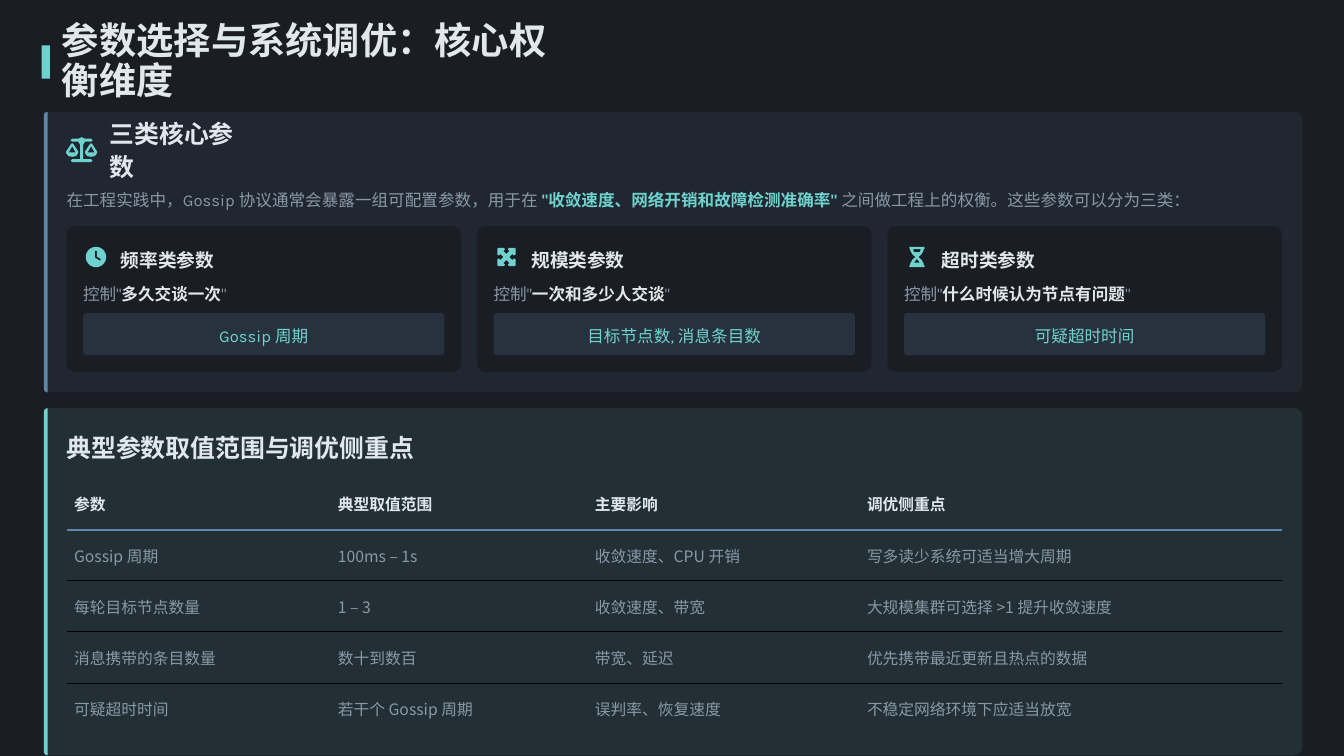
import math

from lxml import etree
from pptx import Presentation
from pptx.dml.color import RGBColor
from pptx.enum import shapes, text
from pptx.oxml import ns
from pptx.util import Inches, Pt

BACKGROUND, LIGHT, GREY = "1A1D24", "E1E8ED", "8899A6"
TEAL, BLUE, BLACK = "6ED3CF", "5F87A7", "000000"
HEADING_FONT, BODY_FONT = "Noto Sans CJK SC", "Karla"
NO_TABLE_STYLE = "{2D5ABB26-0587-4C30-8999-92F81FD0307C}"

CARDS = [
    ("频率类参数", "多久交谈一次", "Gossip 周期"),
    ("规模类参数", "一次和多少人交谈", "目标节点数, 消息条目数"),
    ("超时类参数", "什么时候认为节点有问题", "可疑超时时间"),
]
COLUMN_WIDTHS = [3.49, 3.4, 3.6, 5.59]
ROWS = [
    ("参数", "典型取值范围", "主要影响", "调优侧重点"),
    ("Gossip 周期", "100ms – 1s", "收敛速度、CPU 开销", "写多读少系统可适当增大周期"),
    ("每轮目标节点数量", "1 – 3", "收敛速度、带宽", "大规模集群可选择 >1 提升收敛速度"),
    ("消息携带的条目数量", "数十到数百", "带宽、延迟", "优先携带最近更新且热点的数据"),
    ("可疑超时时间", "若干个 Gossip 周期", "误判率、恢复速度", "不稳定网络环境下应适当放宽"),
]


def color(value):
    return RGBColor.from_string(value)


def paint(shape, value, alpha=100):
    """Fill a shape without line or shadow; alpha is opacity in percent."""
    shape.shadow.inherit = False
    shape.line.fill.background()
    shape.fill.solid()
    shape.fill.fore_color.rgb = color(value)
    if alpha < 100:
        fill = shape.fill._xPr.find(ns.qn("a:solidFill"))[0]
        etree.SubElement(fill, ns.qn("a:alpha"), val=str(alpha * 1000))


def add_run(paragraph, words, size, value, bold=False, font=BODY_FONT):
    run = paragraph.add_run()
    run.text = words
    run.font.size, run.font.bold, run.font.name = Pt(size), bold, font
    run.font.color.rgb = color(value)
    latin = run.font._rPr.find(ns.qn("a:latin"))
    east_asian = etree.Element(ns.qn("a:ea"), typeface=HEADING_FONT)
    latin.addnext(east_asian)


def write(shape, runs, spacing, align=text.PP_ALIGN.LEFT):
    frame = shape.text_frame
    frame.word_wrap = True
    frame.auto_size = text.MSO_AUTO_SIZE.NONE
    frame.vertical_anchor = text.MSO_ANCHOR.MIDDLE
    frame.margin_left = frame.margin_right = 0
    frame.margin_top = frame.margin_bottom = 0
    paragraph = frame.paragraphs[0]
    paragraph.alignment, paragraph.line_spacing = align, spacing
    for run in runs:
        add_run(paragraph, *run)


def add_text(slide, left, top, width, height, runs, spacing):
    box = slide.shapes.add_textbox(*map(Inches, (left, top, width, height)))
    write(box, runs, spacing)


def add_rounded(slide, left, top, width, height, radius, value, alpha=100):
    shape = slide.shapes.add_shape(shapes.MSO_SHAPE.ROUNDED_RECTANGLE,
                                   *map(Inches, (left, top, width, height)))
    shape.adjustments[0] = radius / height
    paint(shape, value, alpha)
    return shape


def add_outline(slide, x, y, contours, value, alpha=100):
    """Draw closed contours, given in inches around (x, y), as one shape."""
    scaled = [[(px * 1000, py * 1000) for px, py in contour] for contour in contours]
    builder = slide.shapes.build_freeform(*scaled[0][0], scale=Inches(1) / 1000)
    for index, contour in enumerate(scaled):
        if index:
            builder.move_to(*contour[0])
        builder.add_line_segments(contour[1:], close=True)
    paint(builder.convert_to_shape(Inches(x), Inches(y)), value, alpha)


def arc(x, y, radius, start, end, steps=8):
    angles = [math.radians(start + (end - start) * i / steps) for i in range(steps + 1)]
    return [(x + radius * math.cos(a), y + radius * math.sin(a)) for a in angles]


def mirror(points):
    """Complete a right half with its reflection in the vertical axis."""
    return points + [(-x, y) for x, y in reversed(points)]


def add_panel(slide, top, height, value):
    left, width, small, large = 0.58, 16.65, 0.05, 0.11
    left_side = (arc(small, height - small, small, 90, 180)
                 + arc(small, small, small, 180, 270))
    right_side = (arc(width - large, large, large, -90, 0)
                  + arc(width - large, height - large, large, 0, 90))
    add_outline(slide, left, top, [left_side + right_side], value, 10)
    add_outline(slide, left, top, [left_side], value)


def scales_icon():
    stand = mirror([(0, -0.165), (0.04, -0.145), (0.125, -0.145), (0.145, -0.125),
                    (0.125, -0.105), (0.045, -0.105), (0.02, -0.065), (0.02, 0.125),
                    (0.125, 0.125), (0.145, 0.145), (0.125, 0.165)])
    pan = mirror([(0, -0.085), (0.015, -0.075), (0.08, 0.025), (0.08, 0.045),
                  (0.05, 0.085), (0, 0.095)])
    hole = mirror([(0, -0.045), (0.045, 0.035)])
    pans = [[(x + shift, y) for x, y in contour]
            for shift in (-0.125, 0.125) for contour in (pan, hole)]
    return [stand] + pans


def clock_icon():
    hands = [(-0.015, -0.08), (0, -0.085), (0.013, -0.08), (0.013, -0.005),
             (0.063, 0.025), (0.06, 0.045), (0.045, 0.045), (-0.01, 0.01), (-0.015, 0)]
    return [arc(0, 0, 0.135, 0, 360, 40), hands]


def expand_icon():
    points = [(0, -0.04), (-0.04, -0.08), (-0.02, -0.1), (-0.03, -0.12), (-0.11, -0.12),
              (-0.12, -0.11), (-0.12, -0.03), (-0.1, -0.02), (-0.08, -0.04)]
    contour = []
    for _ in range(4):
        contour += points
        points = [(y, -x) for x, y in points]
    return [contour]


def hourglass_icon():
    quarter = [(0.09, -0.135), (0.105, -0.12), (0.09, -0.105), (0.09, -0.09),
               (0.06, -0.035), (0.02, 0)]
    body = mirror(quarter + [(x, -y) for x, y in reversed(quarter)])
    return [body, mirror([(0.05, -0.105), (0.04, -0.065)]),
            mirror([(0, 0.025), (0.04, 0.075)])]


def add_card(slide, left, icon, name, purpose, parameters):
    top = 2.99
    add_rounded(slide, left, top, 5.22, 1.93, 0.11, BACKGROUND)
    add_outline(slide, left + 0.39, top + 0.41, icon, TEAL)
    add_text(slide, left + 0.72, top + 0.21, 1.36, 0.38, [(name, 17.8, LIGHT, True)], 1.3)
    add_text(slide, left + 0.22, top + 0.71, 4.89, 0.33,
             [('控制"', 15.8, GREY), (purpose, 15.8, LIGHT, True), ('"', 15.8, GREY)], 1.2)
    chip = add_rounded(slide, left + 0.22, top + 1.15, 4.78, 0.56, 0.05, BLUE, 20)
    write(chip, [(parameters, 15.8, TEAL)], 1.2, text.PP_ALIGN.CENTER)


def set_border(cell, side, value, width):
    line = etree.Element(ns.qn(f"a:{side}"), w=str(Pt(width)))
    fill = etree.SubElement(line, ns.qn("a:solidFill"))
    etree.SubElement(fill, ns.qn("a:srgbClr"), val=value)
    properties = cell._tc.get_or_add_tcPr()
    properties.insert(len(properties.findall(ns.qn("a:lnT"))), line)


def add_parameter_table(slide):
    frame = slide.shapes.add_table(len(ROWS), len(COLUMN_WIDTHS), Inches(0.88),
                                   Inches(6.33), Inches(16.08), Inches(3.38))
    table = frame.table
    table.first_row = table.horz_banding = False
    table._tbl.tblPr.find(ns.qn("a:tableStyleId")).text = NO_TABLE_STYLE
    for column, width in zip(table.columns, COLUMN_WIDTHS):
        column.width = Inches(width)
    rules = [(BLUE, 2)] + [(BLACK, 1)] * (len(ROWS) - 2)
    for r, row in enumerate(ROWS):
        for c, words in enumerate(row):
            cell = table.cell(r, c)
            cell.fill.background()
            cell.vertical_anchor = text.MSO_ANCHOR.MIDDLE
            add_run(cell.text_frame.paragraphs[0], words, 15,
                    GREY if r else LIGHT, r == 0, HEADING_FONT)
            if r > 0:
                set_border(cell, "lnT", *rules[r - 1])
            if r < len(rules):
                set_border(cell, "lnB", *rules[r])


def add_title(slide, words):
    bar = slide.shapes.add_shape(shapes.MSO_SHAPE.RECTANGLE,
                                 *map(Inches, (0.55, 0.6, 0.11, 0.44)))
    paint(bar, TEAL)
    title = slide.shapes.title
    title.left, title.top, title.width, title.height = map(Inches, (0.82, 0.55, 6.56, 0.55))
    write(title, [(words, 35.5, LIGHT, True, HEADING_FONT)], 0.9)


def main():
    presentation = Presentation()
    presentation.slide_width, presentation.slide_height = Inches(17.78), Inches(10)
    slide = presentation.slides.add_slide(presentation.slide_layouts[5])
    slide.background.fill.solid()
    slide.background.fill.fore_color.rgb = color(BACKGROUND)
    add_title(slide, "参数选择与系统调优：核心权衡维度")

    add_panel(slide, 1.48, 3.71, BLUE)
    add_outline(slide, 1.08, 1.98, scales_icon(), TEAL)
    add_text(slide, 1.45, 1.75, 1.74, 0.44,
             [("三类核心参数", 23.7, LIGHT, True, HEADING_FONT)], 1.1)
    add_text(slide, 0.88, 2.41, 16.19, 0.36, [
        ("在工程实践中，Gossip 协议通常会暴露一组可配置参数，用于在 ", 15.8, GREY),
        ('"收敛速度、网络开销和故障检测准确率"', 15.8, TEAL, True),
        (" 之间做工程上的权衡。这些参数可以分为三类：", 15.8, GREY)], 1.4)
    icons = [clock_icon(), expand_icon(), hourglass_icon()]
    for index, (icon, card) in enumerate(zip(icons, CARDS)):
        add_card(slide, 0.88 + 5.43 * index, icon, *card)

    add_panel(slide, 5.4, 4.59, TEAL)
    add_text(slide, 0.88, 5.68, 16.24, 0.44,
             [("典型参数取值范围与调优侧重点", 23.7, LIGHT, True, HEADING_FONT)], 1.1)
    add_parameter_table(slide)
    presentation.save("out.pptx")


if __name__ == "__main__":
    main()
